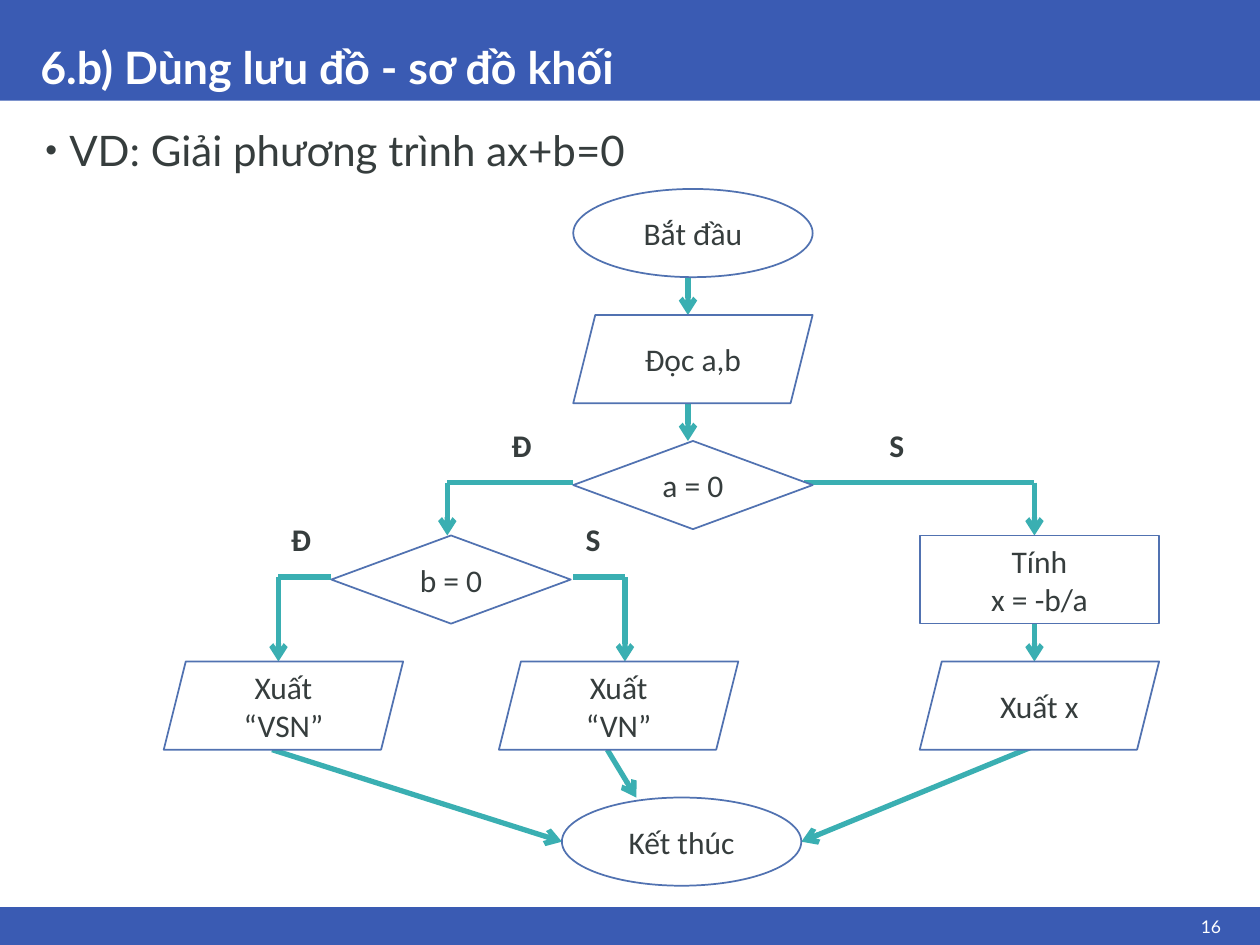
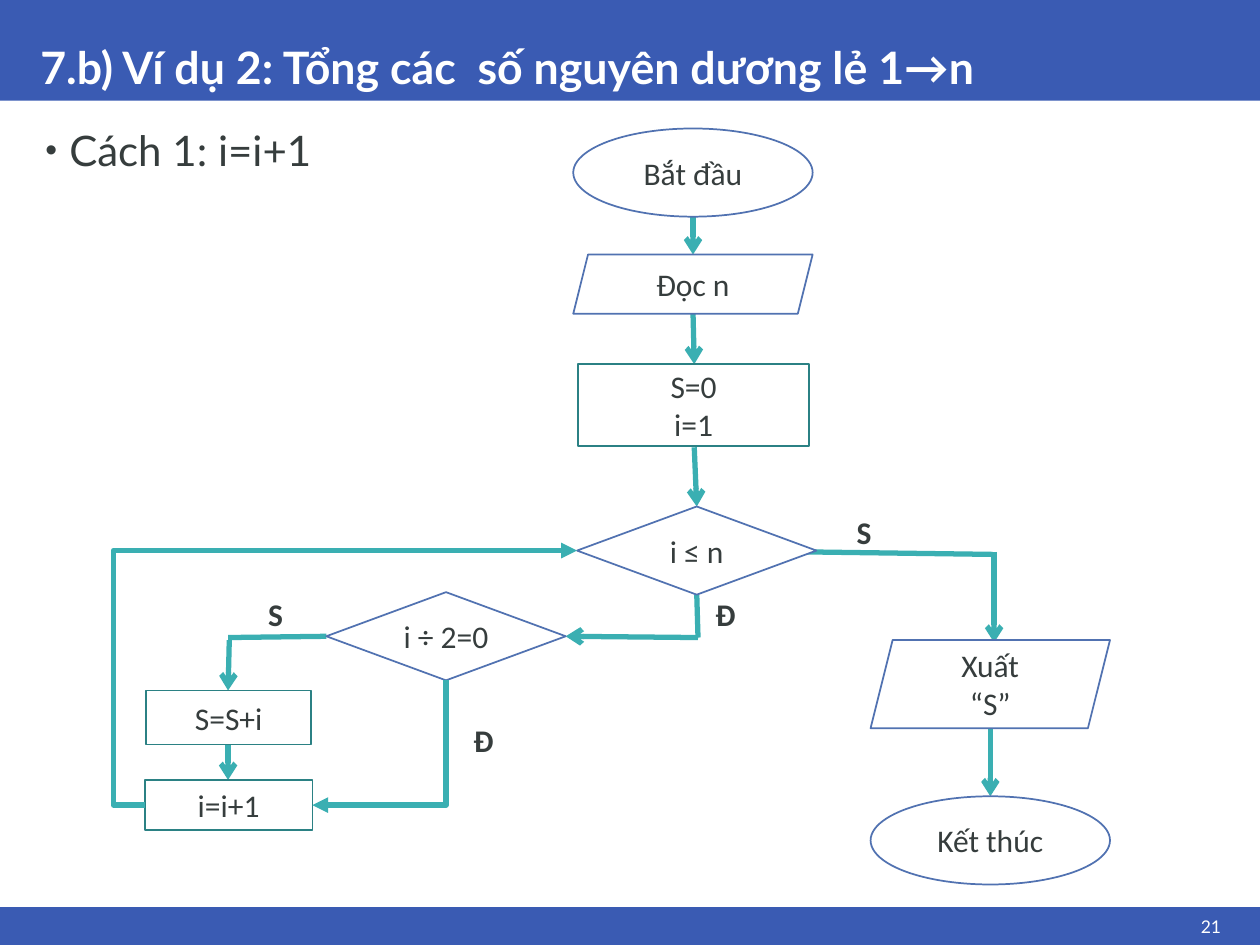
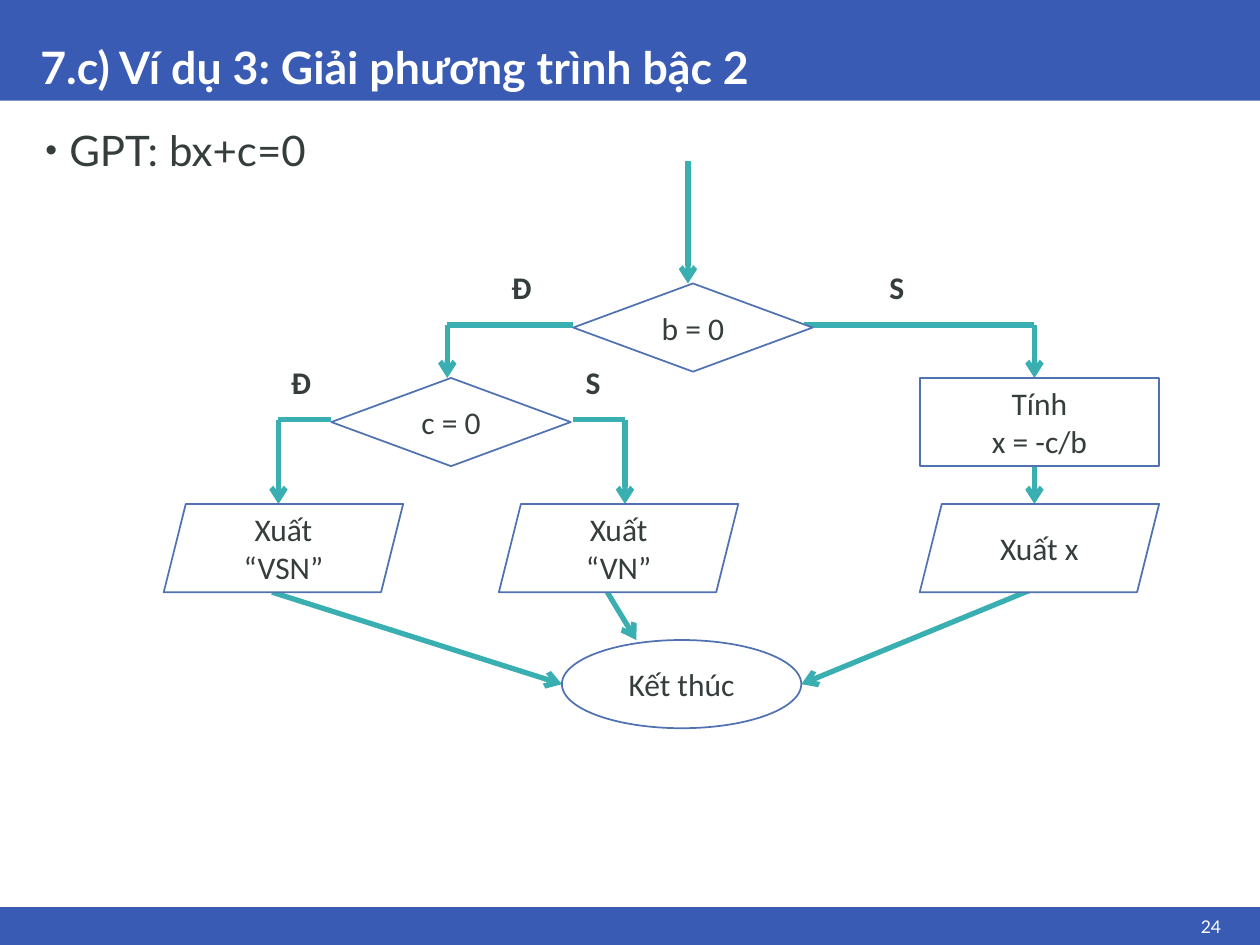
from pptx import Presentation
from pptx import util as u
from pptx.dml.color import RGBColor
from pptx.enum import shapes, text
from pptx.oxml.ns import qn
from lxml import etree

COLORS = {
    "band": "3A5BB3",
    "white": "FFFFFF",
    "ink": "363D3D",
    "outline": "5172B1",
    "teal_outline": "2B8184",
    "flow": "3AAFB2",
}
HEADING_FONT, CHART_FONT = "Lato", "Calibri"
NODE_W, NODE_H = 1.9, 0.7

OVAL = shapes.MSO_SHAPE.OVAL
DATA = shapes.MSO_SHAPE.PARALLELOGRAM
DECISION = shapes.MSO_SHAPE.DIAMOND
STEP = shapes.MSO_SHAPE.RECTANGLE


def color(name):
    return RGBColor.from_string(COLORS[name])


def inches(*values):
    return [u.Inches(value) for value in values]


class FlowDeck:
    """Holds the shared style and the current slide."""

    def __init__(self):
        self.deck = Presentation()
        self.deck.slide_width, self.deck.slide_height = inches(10, 7.5)
        self.page = None

    # Page frame
    def new_page(self, title, bullet, number):
        self.page = self.deck.slides.add_slide(self.deck.slide_layouts[1])
        self.band(0, 0.8)
        self.band(7.2, 0.3)
        self.title(title)
        self.bullet(bullet)
        frame = self.text_box(9.26, 7.22, 0.53, 0.26)
        frame.vertical_anchor = text.MSO_ANCHOR.MIDDLE
        para = frame.paragraphs[0]
        para.alignment = text.PP_ALIGN.RIGHT
        self.span(para, str(number), 10, HEADING_FONT, "white")

    def band(self, top, height):
        box = self.page.shapes.add_shape(STEP, *inches(0, top, 10, height))
        box.shadow.inherit = False
        box.fill.solid()
        box.fill.fore_color.rgb = color("band")
        box.line.fill.background()
        self.page.shapes._spTree.insert(2, box._element)  # behind the placeholders

    def place(self, holder, top, height, anchor):
        holder.left, holder.top, holder.width, holder.height = inches(0.22, top, 9.57, height)
        frame = holder.text_frame
        frame.auto_size = text.MSO_AUTO_SIZE.NONE
        frame.vertical_anchor = anchor
        para = frame.paragraphs[0]
        para.alignment = text.PP_ALIGN.LEFT
        para.line_spacing = 0.9
        return para

    def title(self, words):
        para = self.place(self.page.shapes.title, 0, 0.8, text.MSO_ANCHOR.BOTTOM)
        self.span(para, words, 25.5, HEADING_FONT, "white", True)

    def bullet(self, words):
        para = self.place(self.page.placeholders[1], 0.98, 6.05, text.MSO_ANCHOR.TOP)
        para.space_before = u.Pt(13.5)
        props = para._p.get_or_add_pPr()
        props.set("marL", str(u.Inches(0.23)))
        props.set("indent", str(u.Inches(-0.19)))
        etree.SubElement(props, qn("a:buSzPct"), val="80000")
        etree.SubElement(props, qn("a:buFont"), typeface="Arial")
        etree.SubElement(props, qn("a:buChar"), char="•")
        self.span(para, words, 24, HEADING_FONT, "ink")

    # Text
    def span(self, para, words, size, font, ink, bold=False):
        span = para.add_run()
        span.text = words
        span.font.size = u.Pt(size)
        span.font.name = font
        span.font.bold = bold
        span.font.color.rgb = color(ink)

    def text_box(self, left, top, width, height):
        frame = self.page.shapes.add_textbox(*inches(left, top, width, height)).text_frame
        frame.word_wrap = True
        return frame

    def label(self, words, left, top):
        frame = self.text_box(left, top, 0.4, 0.4)
        self.span(frame.paragraphs[0], words, 18, CHART_FONT, "ink", True)

    # Flowchart nodes
    def node(self, kind, left, top, *lines, width=NODE_W, height=NODE_H,
             fill="white", outline="outline"):
        box = self.page.shapes.add_shape(kind, *inches(left, top, width, height))
        box.shadow.inherit = False
        if fill:
            box.fill.solid()
            box.fill.fore_color.rgb = color(fill)
        else:
            box.fill.background()
        box.line.color.rgb = color(outline)
        box.line.width = u.Pt(1)
        frame = box.text_frame
        frame.word_wrap = True
        frame.vertical_anchor = text.MSO_ANCHOR.MIDDLE
        for index, words in enumerate(lines):
            para = frame.add_paragraph() if index else frame.paragraphs[0]
            para.alignment = text.PP_ALIGN.CENTER
            self.span(para, words, 18, CHART_FONT, "ink")

    def assign(self, left, top, width, height, *lines):
        self.node(STEP, left, top, *lines, width=width, height=height,
                  fill=None, outline="teal_outline")

    # Flow lines
    def connect(self, kind, start, end, **arrowheads):
        link = self.page.shapes.add_connector(kind, *inches(*start, *end))
        link.line.color.rgb = color("flow")
        link.line.width = u.Pt(3)
        outline = link.line._get_or_add_ln()
        for tag, style in arrowheads.items():
            etree.SubElement(outline, qn("a:" + tag), type=style)
        etree.SubElement(link._element.spPr, qn("a:effectLst"))
        return link

    def line(self, start, end):
        self.connect(shapes.MSO_CONNECTOR.STRAIGHT, start, end)

    def arrow(self, start, end):
        self.connect(shapes.MSO_CONNECTOR.STRAIGHT, start, end, tailEnd="arrow")

    def elbow(self, start, end, preset, adjust=None, **arrowheads):
        link = self.connect(shapes.MSO_CONNECTOR.ELBOW, start, end, **arrowheads)
        geometry = link._element.spPr.find(qn("a:prstGeom"))
        geometry.set("prst", preset)
        if adjust is not None:
            guides = geometry.find(qn("a:avLst"))
            if guides is None:
                guides = etree.SubElement(geometry, qn("a:avLst"))
            etree.SubElement(guides, qn("a:gd"), name="adj1", fmla=f"val {adjust}")

    # Linear equation: two decisions, three results, one end
    def linear_solver(self, top, slope, constant):
        second, result, end = top + 0.75, top + 1.75, top + 2.83
        first_exit, second_exit = top + 0.33, top + 1.08
        bottom, end_middle = result + NODE_H, end + NODE_H / 2

        self.arrow((8.21, bottom - 0.03), (6.36, end_middle))
        self.arrow((4.82, bottom), (5.05, end))
        self.arrow((2.16, bottom), (4.46, end_middle))
        self.arrow((8.21, second + 0.67), (8.21, result))
        for near, far, exit_y, target in (
            (6.38, 8.21, first_exit, second),
            (4.55, 3.55, first_exit, second),
            (2.63, 2.21, second_exit, result),
            (4.55, 4.96, second_exit, result),
        ):
            self.line((near, exit_y), (far, exit_y))
            self.arrow((far, exit_y), (far, target))

        self.node(DECISION, 4.55, top, f"{slope} = 0")
        self.node(DECISION, 2.63, second, f"{constant} = 0")
        self.node(STEP, 7.3, second, "Tính", f"x = -{constant}/{slope}")
        self.node(DATA, 1.3, result, "Xuất", "“VSN”")
        self.node(DATA, 3.96, result, "Xuất", "“VN”")
        self.node(DATA, 7.3, result, "Xuất x")
        self.node(OVAL, 4.46, end, "Kết thúc")

        for yes_left, no_left, label_top in ((3.96, 6.96, top - 0.17), (2.21, 4.55, top + 0.58)):
            self.label("Đ", yes_left, label_top)
            self.label("S", no_left, label_top)


def linear_page(flow):
    flow.new_page("6.b) Dùng lưu đồ - sơ đồ khối", "VD: Giải phương trình ax+b=0", 16)
    for top in (2.17, 3.17):
        flow.arrow((5.46, top), (5.46, top + 0.33))
    flow.node(OVAL, 4.55, 1.5, "Bắt đầu")
    flow.node(DATA, 4.55, 2.5, "Đọc a,b")
    flow.linear_solver(3.5, "a", "b")


def odd_sum_page(flow):
    flow.new_page("7.b) Ví dụ 2: Tổng các  số nguyên dương lẻ 1→n", "Cách 1: i=i+1", 21)
    # Flow lines
    for start, end in (
        ((5.5, 1.71), (5.5, 2.02)),
        ((5.5, 2.48), (5.51, 2.89)),
        ((5.51, 3.55), (5.53, 4.02)),
        ((7.89, 4.38), (7.89, 5.1)),
        ((7.86, 5.78), (7.86, 6.32)),
        ((5.54, 5.06), (4.49, 5.05)),
        ((1.82, 5.08), (1.81, 5.48)),
        ((1.81, 5.91), (1.81, 6.19)),
    ):
        flow.arrow(start, end)
    flow.line((6.38, 4.38), (7.88, 4.4))
    flow.line((5.54, 5.06), (5.53, 4.72))
    flow.line((1.81, 5.06), (2.59, 5.05))
    # Nodes
    flow.node(OVAL, 4.55, 1.02, "Bắt đầu")
    flow.node(DATA, 4.55, 2.02, "Đọc n", height=0.47)
    flow.assign(4.59, 2.89, 1.83, 0.65, "S=0", "i=1")
    flow.node(DECISION, 4.58, 4.02, "i ≤ n")
    flow.node(DECISION, 2.59, 4.7, "i ÷ 2=0")
    flow.assign(1.16, 5.48, 1.31, 0.43, "S=S+i")
    flow.assign(1.15, 6.19, 1.33, 0.4, "i=i+1")
    flow.node(DATA, 6.91, 5.08, "Xuất", "“S”")
    flow.node(OVAL, 6.91, 6.32, "Kết thúc")
    # Loop back and skip
    flow.elbow((1.15, 6.39), (4.58, 4.37), "bentConnector3", -7300, tailEnd="triangle")
    flow.elbow((2.48, 6.39), (3.54, 5.4), "bentConnector2", headEnd="triangle")
    for words, left, top in (("S", 6.7, 4.02), ("Đ", 5.58, 4.67), ("S", 2.03, 4.67), ("Đ", 3.66, 5.67)):
        flow.label(words, left, top)


def quadratic_page(flow):
    flow.new_page("7.c) Ví dụ 3: Giải phương trình bậc 2", "GPT: bx+c=0", 24)
    flow.arrow((5.46, 1.28), (5.46, 2.25))
    flow.linear_solver(2.25, "b", "c")


def main():
    flow = FlowDeck()
    linear_page(flow)
    odd_sum_page(flow)
    quadratic_page(flow)
    flow.deck.save("out.pptx")


if __name__ == "__main__":
    main()
